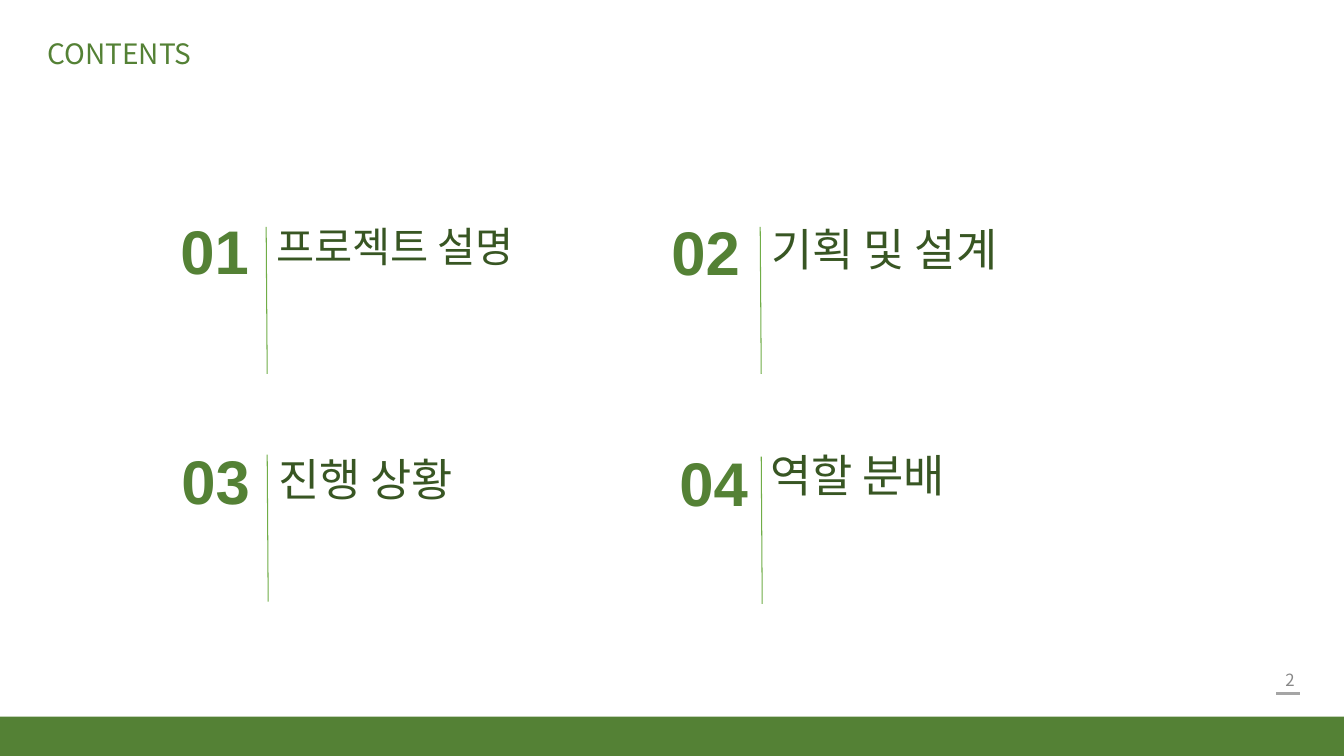
from dataclasses import dataclass

from lxml import etree
from pptx import Presentation
from pptx.dml.color import RGBColor
from pptx.enum.shapes import MSO_CONNECTOR, MSO_SHAPE
from pptx.enum.text import MSO_ANCHOR, PP_ALIGN
from pptx.oxml.ns import qn
from pptx.util import Inches, Pt

STRAIGHT = MSO_CONNECTOR.STRAIGHT
RECTANGLE = MSO_SHAPE.RECTANGLE
TOP, MIDDLE = MSO_ANCHOR.TOP, MSO_ANCHOR.MIDDLE
LEFT, RIGHT = PP_ALIGN.LEFT, PP_ALIGN.RIGHT

# The grid is made of square cells, 133.3 columns by 75 rows.
CELL = Inches(0.1)
COLUMNS, ROWS = 133.3, 75

GREEN, DARK_GREEN, LINE_GREEN = "548135", "385623", "70AD47"
GRAY, LIGHT_GRAY = "888888", "A5A5A5"
KOREAN_FONT, LATIN_FONT = "Noto Sans CJK KR", "Arial"


@dataclass(frozen=True)
class Area:
    column: float
    row: float
    columns: float
    rows: float

    def lengths(self) -> tuple[int, ...]:
        return tuple(cells(n) for n in (self.column, self.row, self.columns, self.rows))


@dataclass(frozen=True)
class TextStyle:
    size: float
    color: str
    font: str = LATIN_FONT
    bold: bool = False
    anchor: int = MIDDLE
    alignment: int = LEFT
    line_spacing: float = 0.9


@dataclass(frozen=True)
class Entry:
    number: str
    label: str
    number_column: float
    number_row: float
    divider_column: float
    divider_row: float
    label_area: Area
    label_size: float = 32
    label_anchor: int = MIDDLE


ENTRIES = (
    Entry("01", "프로젝트 설명", 16.9, 23.3, 26.4, 22.5, Area(26.4, 22, 28, 8.8), 29.6, TOP),
    Entry("02", "기획 및 설계", 65.6, 23.4, 75.4, 22.5, Area(75.5, 22.1, 34.7, 8.7), 32, TOP),
    Entry("03", "진행 상황", 17, 46.1, 26.5, 45.1, Area(26.6, 41.4, 63, 12.9)),
    Entry("04", "역할 분배", 66.4, 46.3, 75.5, 45.3, Area(75.4, 41, 57, 12.9)),
)
NUMBER_STYLE = TextStyle(44, GREEN, bold=True)
TITLE_STYLE = TextStyle(20, GREEN, KOREAN_FONT)
PAGE_STYLE = TextStyle(12, GRAY, KOREAN_FONT, alignment=RIGHT, line_spacing=1)


def cells(count: float) -> int:
    return round(count * CELL)


def rgb(color: str) -> RGBColor:
    return RGBColor.from_string(color)


def write_text(shape, text: str, style: TextStyle) -> None:
    text_frame = shape.text_frame
    text_frame.text = text
    text_frame.word_wrap = True
    text_frame.vertical_anchor = style.anchor
    paragraph = text_frame.paragraphs[0]
    paragraph.alignment = style.alignment
    paragraph.line_spacing = style.line_spacing
    for run in paragraph.runs:
        run.font.size = Pt(style.size)
        run.font.bold = style.bold
        run.font.color.rgb = rgb(style.color)
        run.font.name = style.font
        east_asian = etree.SubElement(run.font._element, qn("a:ea"))
        east_asian.set("typeface", KOREAN_FONT)


def add_text(slide, area: Area, text: str, style: TextStyle) -> None:
    write_text(slide.shapes.add_textbox(*area.lengths()), text, style)


def add_line(slide, area: Area, color: str, width: float) -> None:
    """Draw a line from the top left to the bottom right of the area."""
    left, top, across, down = area.lengths()
    line = slide.shapes.add_connector(STRAIGHT, left, top, left + across, top + down)
    line.line.color.rgb = rgb(color)
    line.line.width = Pt(width)
    etree.SubElement(line._element.spPr, qn("a:effectLst"))


def add_title(slide, area: Area, text: str) -> None:
    title = slide.shapes.title
    title.left, title.top, title.width, title.height = area.lengths()
    write_text(title, text, TITLE_STYLE)


def add_footer(slide, page: str) -> None:
    band_area = Area(0, 71.1, COLUMNS, ROWS - 71.1)
    band = slide.shapes.add_shape(RECTANGLE, *band_area.lengths())
    band.shadow.inherit = False
    band.fill.solid()
    band.fill.fore_color.rgb = rgb(GREEN)
    band.line.fill.background()
    add_text(slide, Area(99.4, 65.4, 30, 4), page, PAGE_STYLE)
    add_line(slide, Area(126.6, 68.8, 2.3, 0), LIGHT_GRAY, 1.5)


def add_entry(slide, entry: Entry) -> None:
    number_area = Area(entry.number_column, entry.number_row, 38.5, 4)
    add_text(slide, number_area, entry.number, NUMBER_STYLE)
    label_style = TextStyle(entry.label_size, DARK_GREEN, anchor=entry.label_anchor)
    add_text(slide, entry.label_area, entry.label, label_style)
    divider_area = Area(entry.divider_column, entry.divider_row, 0.1, 14.6)
    add_line(slide, divider_area, LINE_GREEN, 0.75)


def main() -> None:
    presentation = Presentation()
    presentation.slide_width, presentation.slide_height = cells(COLUMNS), cells(ROWS)
    title_only = presentation.slide_layouts.get_by_name("Title Only")
    slide = presentation.slides.add_slide(title_only)
    add_footer(slide, "2")
    add_title(slide, Area(3.7, 3.5, 38.5, 4), "CONTENTS")
    for entry in ENTRIES:
        add_entry(slide, entry)
    presentation.save("out.pptx")


if __name__ == "__main__":
    main()
